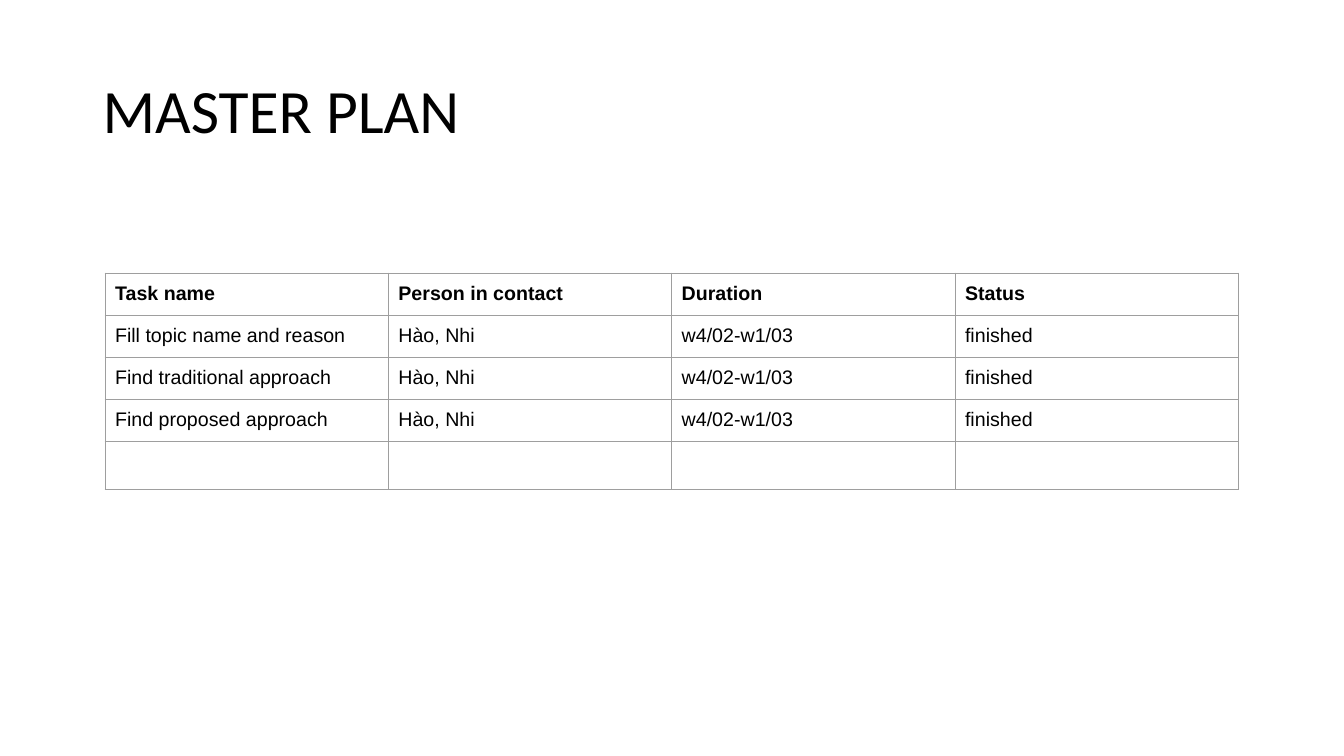
"""Build the master plan slide with its table of tasks."""
from lxml import etree
from pptx import Presentation
from pptx import util as u
from pptx.dml.color import RGBColor
from pptx.enum import text
from pptx.oxml import ns


def color(hex_string):
    return RGBColor.from_string(hex_string)


def write(paragraph, content, font="Arial", size=14, bold=False, fill="000000"):
    run = paragraph.add_run()
    run.text = content
    run.font.name = font
    run.font.size = u.Pt(size)
    run.font.bold = bold
    run.font.color.rgb = color(fill)


presentation = Presentation()
presentation.slide_width = u.Cm(33.87)
presentation.slide_height = u.Cm(19.05)
slide = presentation.slides.add_slide(presentation.slide_layouts[5])
slide.background.fill.solid()
slide.background.fill.fore_color.rgb = color("FFFFFF")

title = slide.shapes.title
title.left, title.top = u.Cm(2.33), u.Cm(1.01)
title.width, title.height = u.Cm(29.21), u.Cm(3.68)
title.text_frame.vertical_anchor = text.MSO_ANCHOR.MIDDLE
heading = title.text_frame.paragraphs[0]
heading.alignment = text.PP_ALIGN.LEFT
heading.line_spacing = 0.9
write(heading, "MASTER PLAN", font="Calibri", size=44)

contact, duration, status = "Hào, Nhi", "w4/02-w1/03", "finished"
rows = [
    ("Task name", "Person in contact", "Duration", "Status"),
    ("Fill topic name and reason", contact, duration, status),
    ("Find traditional approach", contact, duration, status),
    ("Find proposed approach", contact, duration, status),
    ("", "", "", ""),
]
column_width, row_height, last_row_height = u.Cm(7.14), u.Cm(1.06), u.Cm(1.21)
cell_margin = u.Cm(0.25)

table = slide.shapes.add_table(
    len(rows), len(rows[0]), u.Cm(2.65), u.Cm(6.88),
    column_width * len(rows[0]), row_height * 4 + last_row_height).table
table.first_row = table.horz_banding = False
for column in table.columns:
    column.width = column_width

for row_index, row in enumerate(rows):
    table.rows[row_index].height = row_height if any(row) else last_row_height
    for column_index, content in enumerate(row):
        cell = table.cell(row_index, column_index)
        properties = cell._tc.get_or_add_tcPr()
        for side in ("a:lnL", "a:lnR", "a:lnT", "a:lnB"):
            border = etree.SubElement(properties, ns.qn(side), w=str(u.Pt(0.75)))
            border_fill = etree.SubElement(border, ns.qn("a:solidFill"))
            etree.SubElement(border_fill, ns.qn("a:srgbClr"), val="9E9E9E")
        cell.fill.background()
        if content:
            cell.margin_left = cell.margin_right = cell_margin
            cell.margin_top = cell.margin_bottom = cell_margin
            write(cell.text_frame.paragraphs[0], content, bold=row_index == 0)

presentation.save("out.pptx")
